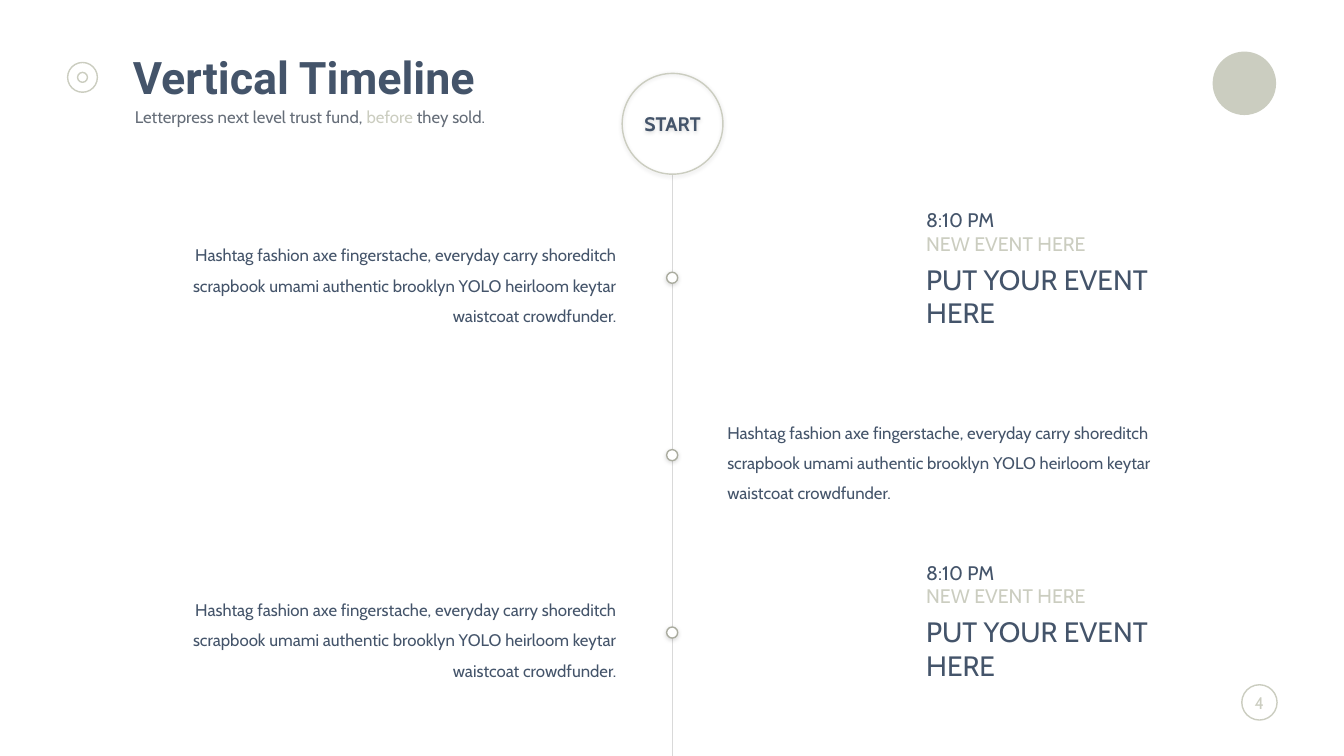
from lxml.etree import SubElement
from pptx import Presentation
from pptx.dml.color import RGBColor
from pptx.enum.shapes import MSO_CONNECTOR, MSO_SHAPE
from pptx.enum.text import MSO_ANCHOR, MSO_AUTO_SIZE, PP_ALIGN
from pptx.oxml.ns import qn
from pptx.util import Cm, Pt

COLORS = {"navy": "44546A", "sand": "CBCDC0", "gray": "656D78", "dot": "AAAC9F",
          "axis": "D9D9D9", "white": "FFFFFF", "shadow": "000000"}
AXIS_X = 16.94
FIRST_Y, STEP = 7.0, 4.47
BLURB = ("Hashtag fashion axe fingerstache, everyday carry shoreditch scrapbook umami "
         "authentic brooklyn YOLO heirloom keytar waistcoat crowdfunder.")
EVENT = [("8:10 PM", 14, "navy", 0), ("NEW EVENT HERE", 14, "sand", 0),
         ("PUT YOUR EVENT", 20, "navy", 5), ("HERE", 20, "navy", 0)]
BLURBS = [(4.06, PP_ALIGN.RIGHT), (18.08, PP_ALIGN.LEFT), (4.06, PP_ALIGN.RIGHT)]
EVENT_TOPS = [5.12, 14.0]


class TimelineSlide:
    """Draws the timeline elements on one slide in a shared style."""

    def __init__(self, slide, font="Cabin"):
        self.s = slide
        self.font = font

    def color(self, name):
        return RGBColor.from_string(COLORS[name])

    def style(self, r, size, color, bold=False, font=None):
        r.font.name = font or self.font
        r.font.size = Pt(size)
        r.font.bold = bold
        r.font.color.rgb = self.color(color)

    def circle(self, x, y, d, line=None, fill=None, shadow=False):
        sp = self.s.shapes.add_shape(MSO_SHAPE.OVAL, Cm(x - d / 2), Cm(y - d / 2), Cm(d), Cm(d))
        sp.shadow.inherit = False
        if fill:
            sp.fill.solid()
            sp.fill.fore_color.rgb = self.color(fill)
        else:
            sp.fill.background()
        if line:
            sp.line.color.rgb = self.color(line)
            sp.line.width = Pt(1)
        else:
            sp.line.fill.background()
        if shadow:
            self.shadow(sp)
        return sp

    def shadow(self, sp):
        effects = sp._element.spPr.find(qn("a:effectLst"))
        outer = SubElement(effects, qn("a:outerShdw"), blurRad=str(Pt(3)), dist=str(Pt(1)),
                           dir="5400000", algn="t", rotWithShape="0")
        clr = SubElement(outer, qn("a:srgbClr"), val=COLORS["shadow"])
        SubElement(clr, qn("a:alpha"), val="15000")

    def label(self, sp, text, size, color, bold=False):
        tf = sp.text_frame
        tf.margin_left = tf.margin_right = tf.margin_top = tf.margin_bottom = 0
        tf.vertical_anchor = MSO_ANCHOR.MIDDLE
        tf.word_wrap = False
        tf.text = text
        p = tf.paragraphs[0]
        p.alignment = PP_ALIGN.CENTER
        self.style(p.runs[0], size, color, bold)

    def axis(self, x, top, bottom):
        ln = self.s.shapes.add_connector(MSO_CONNECTOR.STRAIGHT, Cm(x), Cm(top), Cm(x), Cm(bottom))
        ln.line.color.rgb = self.color("axis")
        ln.line.width = Pt(0.75)
        SubElement(ln._element.spPr, qn("a:effectLst"))

    def box(self, x, y, w, h, grow=False):
        tf = self.s.shapes.add_textbox(Cm(x), Cm(y), Cm(w), Cm(h)).text_frame
        tf.word_wrap = True
        if grow:
            tf.auto_size = MSO_AUTO_SIZE.SHAPE_TO_FIT_TEXT
        return tf

    def heading(self, x, y, w, h, parts, size, bold=False, font=None):
        p = self.box(x, y, w, h).paragraphs[0]
        p.line_spacing = 0.9
        for text, color in parts:
            r = p.add_run()
            r.text = text
            self.style(r, size, color, bold, font)

    def blurb(self, x, y, align):
        tf = self.box(x, y, 11.73, 2.57, grow=True)
        tf.text = BLURB
        p = tf.paragraphs[0]
        p.alignment = align
        p.line_spacing = 1.5
        self.style(p.runs[0], 12, "navy")

    def event(self, x, y):
        tf = self.box(x, y, 7.37, 3.33, grow=True)
        tf.text = "\n".join(text for text, *_ in EVENT)
        for p, (_, size, color, before) in zip(tf.paragraphs, EVENT):
            if before:
                p.space_before = Pt(before)
            self.style(p.runs[0], size, color)


def main():
    prs = Presentation()
    prs.slide_width, prs.slide_height = Cm(33.87), Cm(19.05)
    s = TimelineSlide(prs.slides.add_slide(prs.slide_layouts[6]))

    s.circle(31.36, 2.1, 1.6, fill="sand")
    s.label(s.circle(31.74, 17.7, 0.89, line="sand"), "4", 12, "sand")
    for d in (0.75, 0.25):
        s.circle(2.08, 1.95, d, line="sand")

    s.heading(3.1, 1.27, 25.58, 1.35, [("Vertical Timeline", "navy")], 32, True, "Roboto")
    s.heading(3.15, 2.62, 25.53, 0.74,
              [("Letterpress next level trust fund, ", "gray"), ("before", "sand"),
               (" they sold.", "gray")], 12)

    s.axis(AXIS_X, 4.4, 19.05)
    start = s.circle(AXIS_X + 0.01, 3.12, 2.54, line="sand", shadow=True)
    s.label(start, "START", 14, "navy", True)
    for i, (x, align) in enumerate(BLURBS):
        y = FIRST_Y + i * STEP
        s.circle(AXIS_X, y, 0.28, line="dot", fill="white", shadow=True)
        s.blurb(x, y - 1.2, align)
    for y in EVENT_TOPS:
        s.event(23.09, y)

    prs.save("out.pptx")


if __name__ == "__main__":
    main()
